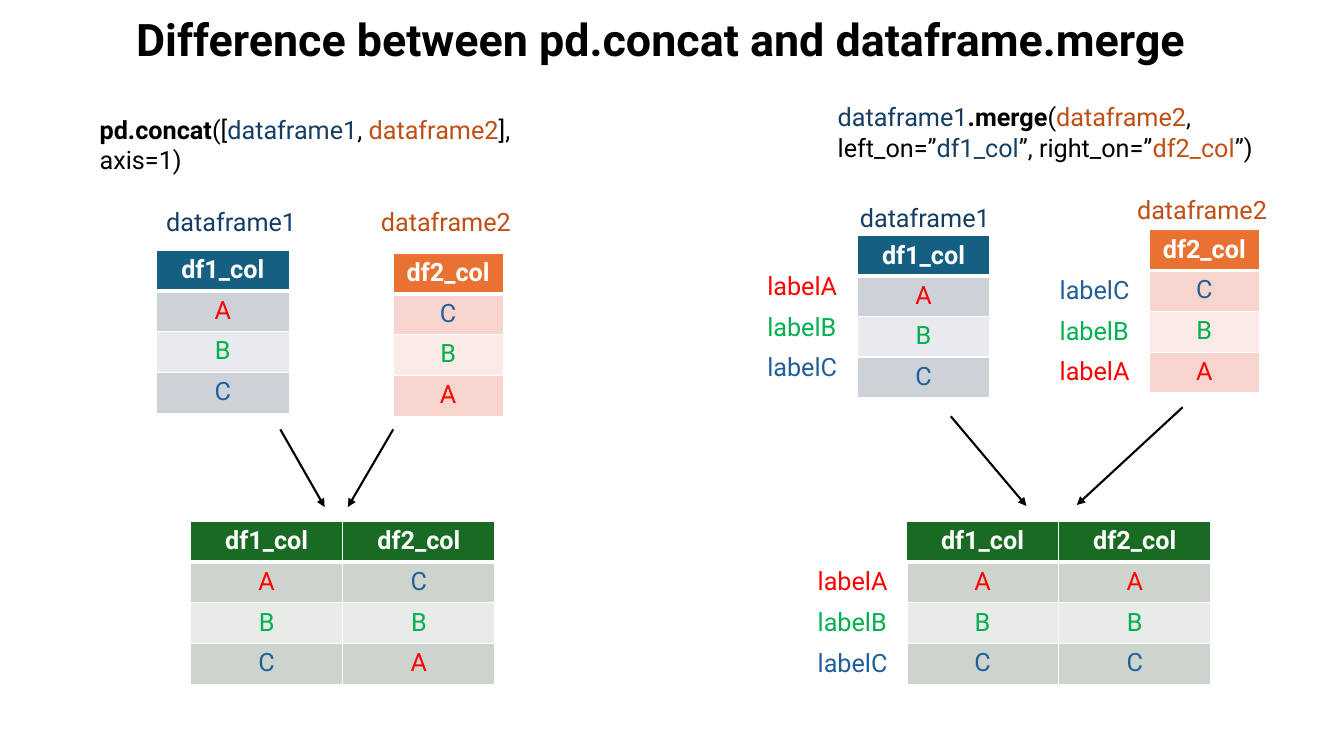
from lxml import etree
from pptx import Presentation
from pptx.dml.color import RGBColor
from pptx.enum.shapes import MSO_CONNECTOR
from pptx.enum.text import MSO_ANCHOR, MSO_AUTO_SIZE, PP_ALIGN
from pptx.oxml.ns import qn
from pptx.util import Inches, Pt

STRAIGHT = MSO_CONNECTOR.STRAIGHT
TOP = MSO_ANCHOR.TOP
FIXED = MSO_AUTO_SIZE.NONE
LEFT, CENTER = PP_ALIGN.LEFT, PP_ALIGN.CENTER

FONT = "Roboto"
TITLE_ONLY = 5
COLORS = {
    "black": "000000",
    "white": "FFFFFF",
    "frame1": "163E64",
    "frame2": "C04F15",
    "A": "FF0000",
    "B": "00B050",
    "C": "215F9A",
}
# Header, odd-row and even-row fills of each kind of table
TABLE_FILLS = {
    "frame1": ("156082", "CCD2D8", "E8EAED"),
    "frame2": ("E97132", "F7D5CE", "FBEBE8"),
    "result": ("196B24", "CCD4CD", "E8EBE8"),
}


def color(name):
    return RGBColor.from_string(COLORS[name])


def add_run(paragraph, text, color_name="black", bold=False, size=18):
    run = paragraph.add_run()
    run.text = text
    run.font.color.rgb = color(color_name)
    for name, value in {"name": FONT, "size": Pt(size), "bold": bold}.items():
        setattr(run.font, name, value)


def add_title(slide, text):
    title = slide.shapes.title
    box = {"left": 1.25, "top": 0.07, "width": 10.84, "height": 0.64}
    for name, value in box.items():
        setattr(title, name, Inches(value))
    frame = title.text_frame
    settings = {"word_wrap": True, "auto_size": FIXED, "vertical_anchor": TOP}
    for name, value in settings.items():
        setattr(frame, name, value)
    paragraph = frame.paragraphs[0]
    paragraph.alignment = LEFT
    add_run(paragraph, text, bold=True, size=32)


def add_text(slide, left, top, width, height, lines):
    """Add a text box; each line is a list of add_run argument tuples."""
    box = slide.shapes.add_textbox(*map(Inches, (left, top, width, height)))
    frame = box.text_frame
    frame.word_wrap = True
    for index, line in enumerate(lines):
        paragraph = frame.add_paragraph() if index else frame.paragraphs[0]
        for run in line:
            add_run(paragraph, *run)


def set_borders(cell, bottom_width):
    properties = cell._tc.get_or_add_tcPr()
    widths = {"a:lnL": 1, "a:lnR": 1, "a:lnT": 1, "a:lnB": bottom_width}
    for tag, width in widths.items():
        line = etree.SubElement(properties, qn(tag), w=str(Pt(width)))
        fill = etree.SubElement(line, qn("a:solidFill"))
        etree.SubElement(fill, qn("a:srgbClr"), val=COLORS["white"])


def fill_cell(cell, text, fill, text_color, bold=False, alignment=CENTER, bottom_width=1):
    set_borders(cell, bottom_width)
    cell.fill.solid()
    cell.fill.fore_color.rgb = RGBColor.from_string(fill)
    paragraph = cell.text_frame.paragraphs[0]
    paragraph.alignment = alignment
    add_run(paragraph, text, text_color, bold)


def add_grid(slide, left, top, width, height, rows, columns):
    bounds = map(Inches, (left, top, width, height))
    table = slide.shapes.add_table(rows, columns, *bounds).table
    table.horz_banding = False
    return table


def add_data_table(slide, left, top, width, kind, columns, height=1.62):
    """Add a table from a dict of column names to one letter per row."""
    header_fill, *row_fills = TABLE_FILLS[kind]
    table = add_grid(slide, left, top, width, height, 4, len(columns))
    for column, (name, letters) in enumerate(columns.items()):
        fill_cell(table.cell(0, column), name, header_fill, "white", bold=True, bottom_width=3)
        for row, letter in enumerate(letters):
            fill_cell(table.cell(row + 1, column), letter, row_fills[row % 2], letter)


def add_row_labels(slide, left, top, letters):
    table = add_grid(slide, left, top, 0.99, 1.21, len(letters), 1)
    for row, letter in enumerate(letters):
        fill_cell(table.cell(row, 0), f"label{letter}", COLORS["white"], letter,
                  alignment=LEFT, bottom_width=1 if row else 3)


def add_arrow(slide, start, end):
    arrow = slide.shapes.add_connector(STRAIGHT, *map(Inches, (*start, *end)))
    arrow.line.color.rgb = color("black")
    arrow.line.width = Pt(1.5)
    etree.SubElement(arrow.line._get_or_add_ln(), qn("a:tailEnd"), type="triangle")
    etree.SubElement(arrow._element.spPr, qn("a:effectLst"))


def add_concat_side(slide):
    add_data_table(slide, 1.89, 5.17, 3.02, "result", {"df1_col": "ABC", "df2_col": "CBA"})
    add_data_table(slide, 1.55, 2.48, 1.32, "frame1", {"df1_col": "ABC"})
    add_data_table(slide, 3.9, 2.51, 1.09, "frame2", {"df2_col": "CBA"})
    add_text(slide, 0.89, 1.08, 5, 0.71, [[
        ("pd.concat", "black", True), ("([",), ("dataframe1", "frame1"),
        (", ",), ("dataframe2", "frame2"), ("], axis=1)",),
    ]])
    add_text(slide, 1.55, 2, 1.58, 0.4, [[("dataframe1", "frame1")]])
    add_text(slide, 3.68, 2, 1.66, 0.4, [[("dataframe2", "frame2")]])
    add_arrow(slide, (2.78, 4.26), (3.22, 5.03))
    add_arrow(slide, (3.9, 4.26), (3.45, 5.03))


def add_merge_side(slide):
    add_data_table(slide, 8.5, 2.34, 1.32, "frame1", {"df1_col": "ABC"}, height=1.6)
    add_data_table(slide, 11.4, 2.28, 1.09, "frame2", {"df2_col": "CBA"})
    add_data_table(slide, 8.99, 5.17, 3.02, "result", {"df1_col": "ABC", "df2_col": "ABC"})
    add_row_labels(slide, 7.51, 2.65, "ABC")
    add_row_labels(slide, 10.41, 2.69, "CBA")
    add_row_labels(slide, 8.01, 5.58, "ABC")
    add_text(slide, 8.21, 0.96, 4.42, 0.71, [
        [("dataframe1", "frame1"), (".merge", "black", True), ("(",),
         ("dataframe2", "frame2"), (",",)],
        [("left_on=”",), ("df1_col", "frame1"), ("”, right_on=”",),
         ("df2_col", "frame2"), ("”)",)],
    ])
    add_text(slide, 8.43, 1.96, 1.58, 0.4, [[("dataframe1", "frame1")]])
    add_text(slide, 11.18, 1.88, 1.66, 0.4, [[("dataframe2", "frame2")]])
    add_arrow(slide, (9.43, 4.13), (10.18, 5.02))
    add_arrow(slide, (11.73, 4.04), (10.68, 5.01))


def main():
    presentation = Presentation()
    presentation.slide_width = Inches(13.33)
    presentation.slide_height = Inches(7.5)
    slide = presentation.slides.add_slide(presentation.slide_layouts[TITLE_ONLY])
    add_title(slide, "Difference between pd.concat and dataframe.merge")
    add_concat_side(slide)
    add_merge_side(slide)
    presentation.save("out.pptx")


if __name__ == "__main__":
    main()
